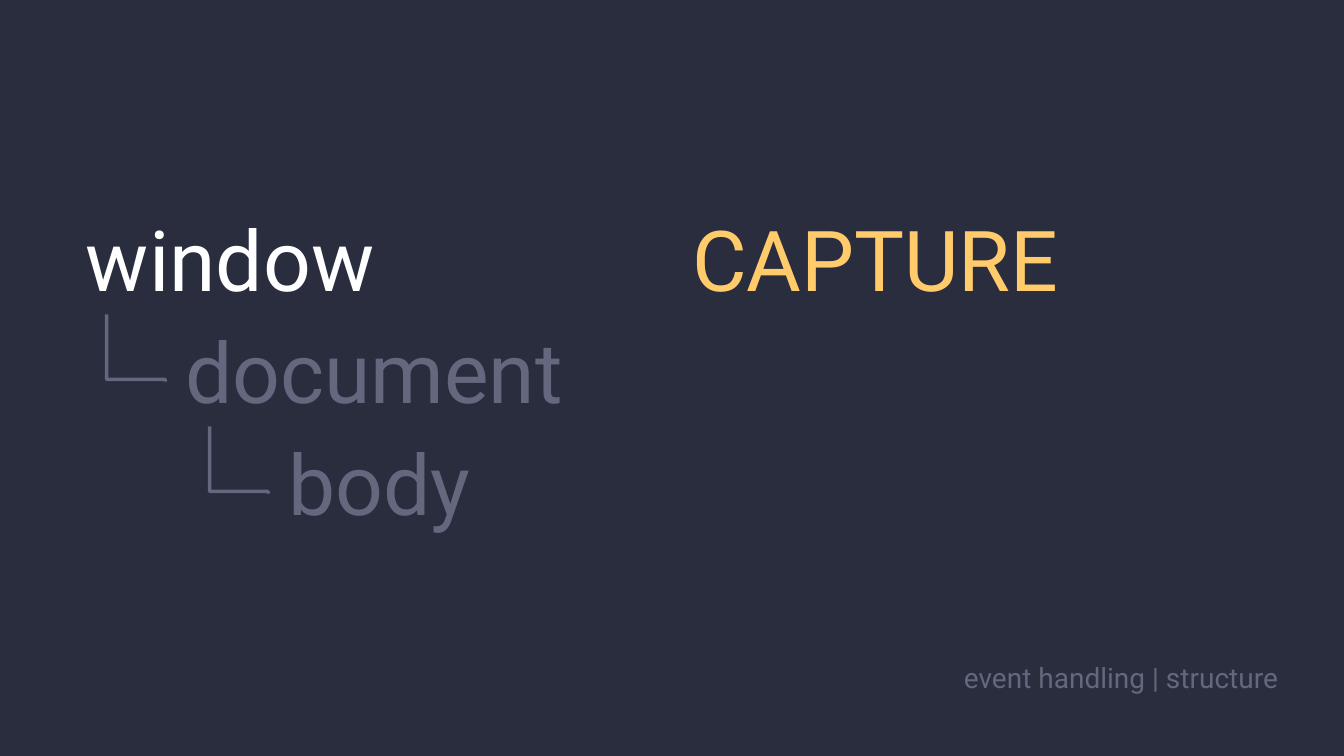
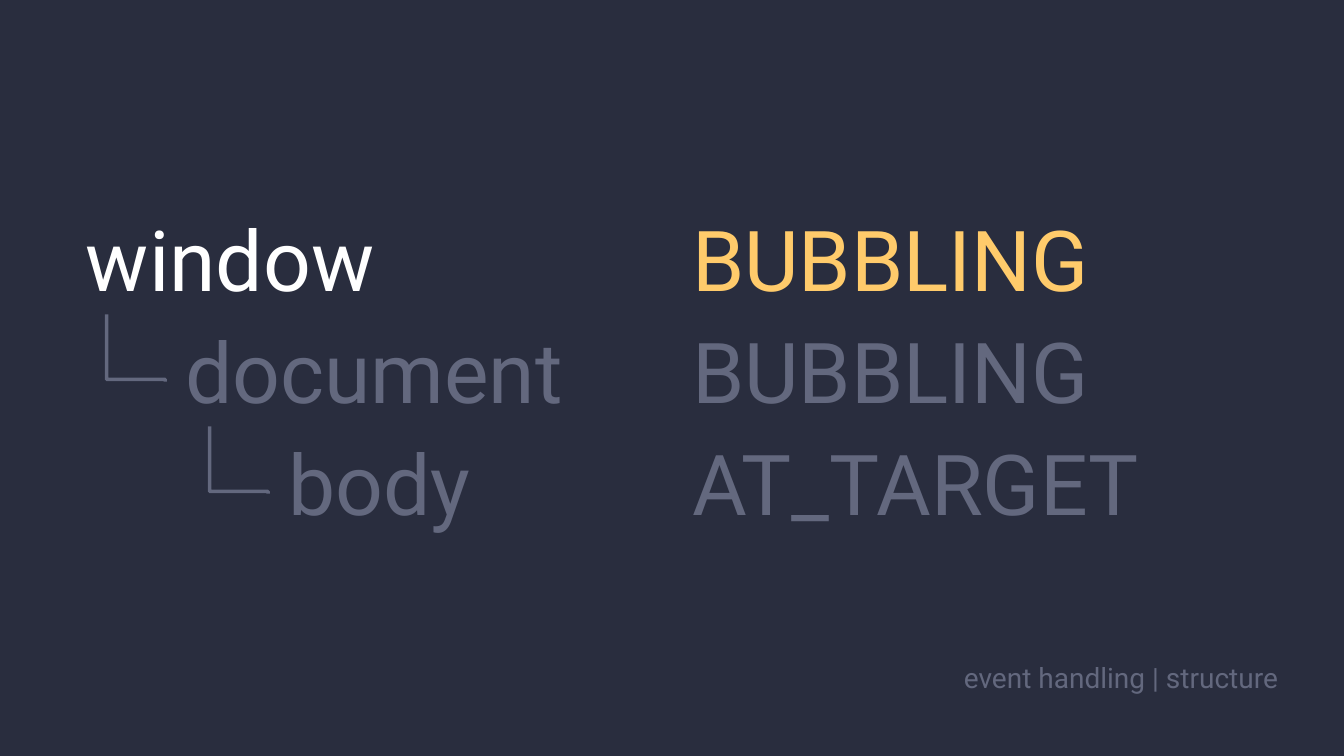
"""Build two slides on the phases of event handling."""
import pptx
import pptx.dml.color
import pptx.enum.shapes
import pptx.enum.text
import pptx.oxml
import pptx.oxml.ns
import pptx.util

Pt = pptx.util.Pt
qn = pptx.oxml.ns.qn
ALIGN = pptx.enum.text.PP_ALIGN

FONT = "Roboto"
BACK, WHITE, GOLD, GREY = "292D3E", "FFFFFF", "FFCB6B", "9DA3BE"
TOP, ROW = 144.5, 80
RUN, DROP = 41.8, 48.2
NODES = [("window", 47, 394.5), ("document", 118, 361.5), ("body", 191.5, 288)]
SLIDES = [["CAPTURE"], ["BUBBLING", "BUBBLING", "AT_TARGET"]]


def paint(color, code, root):
    """Set a colour, making grey half transparent."""
    color.rgb = pptx.dml.color.RGBColor.from_string(code)
    if code == GREY:
        for node in root.iter(qn("a:srgbClr")):
            pptx.oxml.ns and node.append(
                node.makeelement(qn("a:alpha"), {"val": "50000"}))


def label(slide, text, box, code, size=60, pads=(14.4, 36), align=ALIGN.LEFT):
    """Add one line of text."""
    shape = slide.shapes.add_textbox(*map(Pt, box))
    frame = shape.text_frame
    frame.word_wrap = True
    frame.auto_size = pptx.enum.text.MSO_AUTO_SIZE.SHAPE_TO_FIT_TEXT
    frame.margin_left, frame.margin_right = map(Pt, pads)
    frame.margin_top = frame.margin_bottom = Pt(3.6)
    para = frame.paragraphs[0]
    para.text = text
    para.alignment = align
    para.font.name = FONT
    para.font.size = Pt(size)
    paint(para.font.color, code, shape.element)


def branch(slide, left, top):
    """Add an elbow that drops from a parent and runs right to its child."""
    shift = (DROP - RUN) / 2
    x, y = left - shift, top + shift
    kind = pptx.enum.shapes.MSO_CONNECTOR.ELBOW
    line = slide.shapes.add_connector(
        kind, Pt(x + DROP), Pt(y), Pt(x), Pt(y + RUN))
    line.line.width = Pt(2.5)
    props = line.element.spPr
    paint(line.line.color, GREY, props)
    props.find(qn("a:xfrm")).set("rot", "16200000")
    geom = props.find(qn("a:prstGeom"))
    geom.set("prst", "bentConnector3")
    guides = geom.find(qn("a:avLst"))
    if guides is None:
        guides = geom.makeelement(qn("a:avLst"), {})
        geom.append(guides)
    guides.append(guides.makeelement(
        qn("a:gd"), {"name": "adj1", "fmla": "val 96700"}))
    props.append(props.makeelement(qn("a:effectLst"), {}))


def tree(slide):
    """Add the nested nodes with the first one lit."""
    for row, (name, left, width) in enumerate(NODES):
        top = TOP + row * ROW
        label(slide, name, (left, top, width, ROW), GREY if row else WHITE)
        if row:
            branch(slide, left - RUN, top)


def phases(slide, names):
    """Add the phase beside each node with the first one lit."""
    for row, name in enumerate(names):
        box = (480, TOP + row * ROW, 394.5, ROW)
        label(slide, name, box, GREY if row else GOLD)


def footer(slide):
    """Add the topic at the lower right."""
    label(slide, "event handling | structure", (47, 468.5, 866, 31.5),
          GREY, 20, (0, 0), ALIGN.RIGHT)


def main():
    """Build and save the deck."""
    deck = pptx.Presentation()
    deck.slide_width, deck.slide_height = Pt(960), Pt(540)
    fill = deck.slide_master.background.fill
    fill.solid()
    paint(fill.fore_color, BACK, deck.slide_master.element)
    for names in SLIDES:
        slide = deck.slides.add_slide(deck.slide_layouts[6])
        tree(slide)
        phases(slide, names)
        footer(slide)
    deck.save("out.pptx")


if __name__ == "__main__":
    main()
